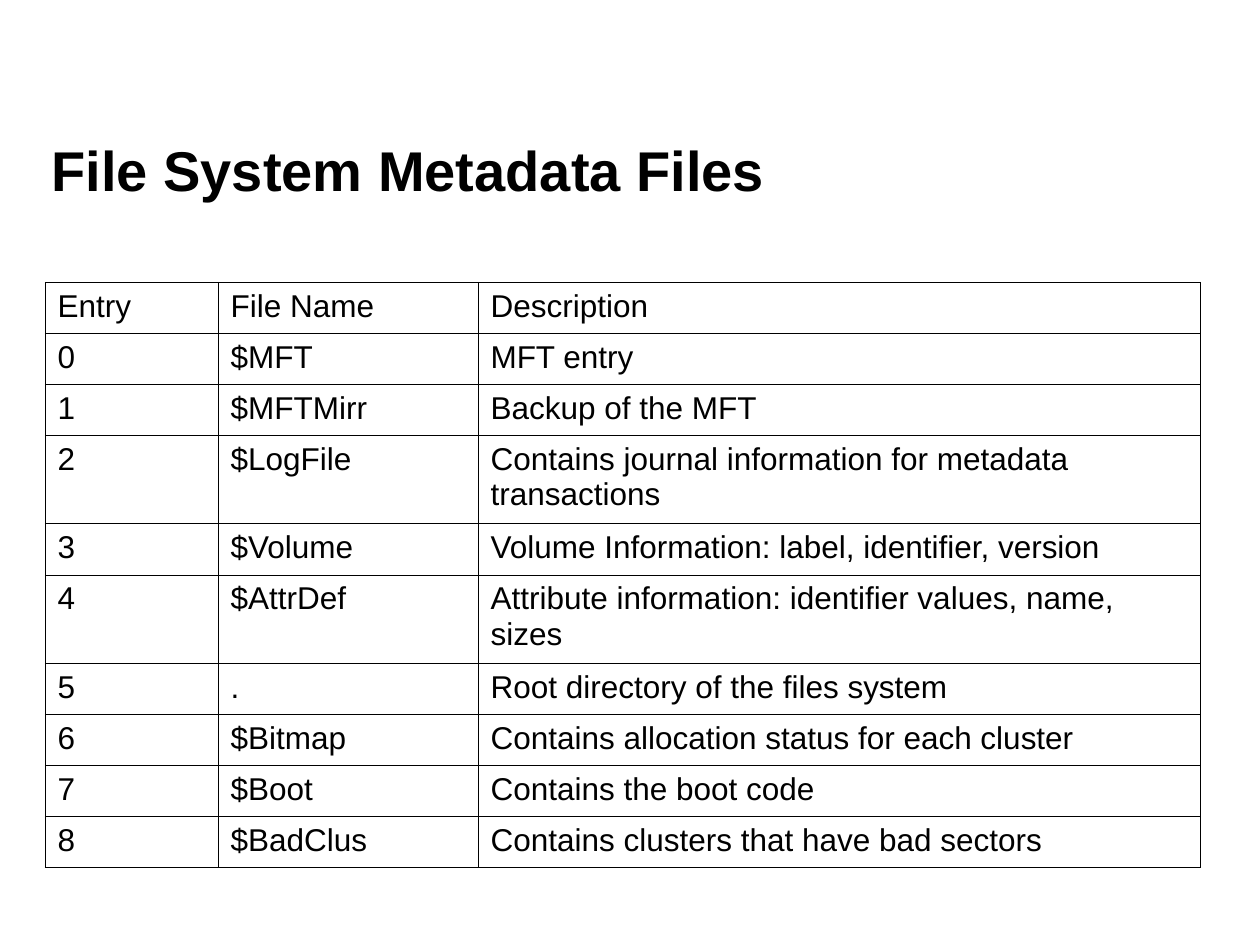
from dataclasses import dataclass

from lxml import etree
from pptx import Presentation
from pptx.dml.color import RGBColor
from pptx.enum.text import MSO_ANCHOR, PP_ALIGN
from pptx.oxml.ns import qn
from pptx.util import Cm, Pt

LEFT = PP_ALIGN.LEFT
TOP = MSO_ANCHOR.TOP
MIDDLE = MSO_ANCHOR.MIDDLE
TITLE_ONLY = 5

TITLE = "File System Metadata Files"
HEADER = ("Entry", "File Name", "Description")
FILES = [
    ("$MFT", "MFT entry"),
    ("$MFTMirr", "Backup of the MFT"),
    ("$LogFile", "Contains journal information for metadata transactions"),
    ("$Volume", "Volume Information: label, identifier, version"),
    ("$AttrDef", "Attribute information: identifier values, name, sizes"),
    (".", "Root directory of the files system"),
    ("$Bitmap", "Contains allocation status for each cluster"),
    ("$Boot", "Contains the boot code"),
    ("$BadClus", "Contains clusters that have bad sectors"),
]


@dataclass(frozen=True)
class Theme:
    font: str = "Arial"
    ink: str = "000000"
    paper: str = "FFFFFF"
    title_size: int = 32
    body_size: int = 18
    border_width: float = 0.45


THEME = Theme()
COLUMN_WIDTHS = (3.49, 5.24, 14.55)
ROW_HEIGHT, TALL_ROW_HEIGHT = 1.03, 1.78
LINE_CAPACITY = 47
TITLE_PLACE = {"left": 0.79, "top": 2.44, "width": 23.47, "height": 1.93}
TABLE_LEFT, TABLE_TOP = 0.91, 5.69
CELL_FORMAT = {
    "margin_left": Cm(0.25),
    "margin_right": Cm(0.25),
    "margin_top": Cm(0.13),
    "margin_bottom": Cm(0.13),
    "vertical_anchor": TOP,
}
TITLE_FORMAT = {**CELL_FORMAT, "vertical_anchor": MIDDLE, "word_wrap": True}


def apply(target, values):
    for name, value in values.items():
        setattr(target, name, value)


def write(frame, text, size, bold=False):
    para = frame.paragraphs[0]
    para.alignment = LEFT
    span = para.add_run()
    span.text = text
    apply(span.font, {"name": THEME.font, "size": Pt(size), "bold": bold})
    span.font.color.rgb = RGBColor.from_string(THEME.ink)


def add_borders(cell):
    properties = cell._tc.get_or_add_tcPr()
    for position, side in enumerate(("lnL", "lnR", "lnT", "lnB")):
        line = etree.Element(qn(f"a:{side}"), w=str(Pt(THEME.border_width)))
        fill = etree.SubElement(line, qn("a:solidFill"))
        etree.SubElement(fill, qn("a:srgbClr"), val=THEME.ink)
        properties.insert(position, line)


def add_title(page):
    box = page.shapes.title
    apply(box, {name: Cm(value) for name, value in TITLE_PLACE.items()})
    apply(box.text_frame, TITLE_FORMAT)
    write(box.text_frame, TITLE, THEME.title_size, bold=True)


def add_file_table(page):
    rows = [HEADER] + [(str(entry), *file) for entry, file in enumerate(FILES)]
    heights = [
        TALL_ROW_HEIGHT if len(row[-1]) > LINE_CAPACITY else ROW_HEIGHT
        for row in rows
    ]
    table = page.shapes.add_table(
        len(rows), len(HEADER), Cm(TABLE_LEFT), Cm(TABLE_TOP),
        Cm(sum(COLUMN_WIDTHS)), Cm(sum(heights)),
    ).table
    apply(table, {"first_row": False, "horz_banding": False})
    for column, width in zip(table.columns, COLUMN_WIDTHS):
        column.width = Cm(width)
    for table_row, height, texts in zip(table.rows, heights, rows):
        table_row.height = Cm(height)
        for cell, text in zip(table_row.cells, texts):
            apply(cell, CELL_FORMAT)
            cell.fill.solid()
            cell.fill.fore_color.rgb = RGBColor.from_string(THEME.paper)
            add_borders(cell)
            write(cell.text_frame, text, THEME.body_size)


deck = Presentation()
apply(deck, {"slide_width": Cm(25.4), "slide_height": Cm(19.05)})
page = deck.slides.add_slide(deck.slide_layouts[TITLE_ONLY])
add_title(page)
add_file_table(page)
deck.save("out.pptx")
